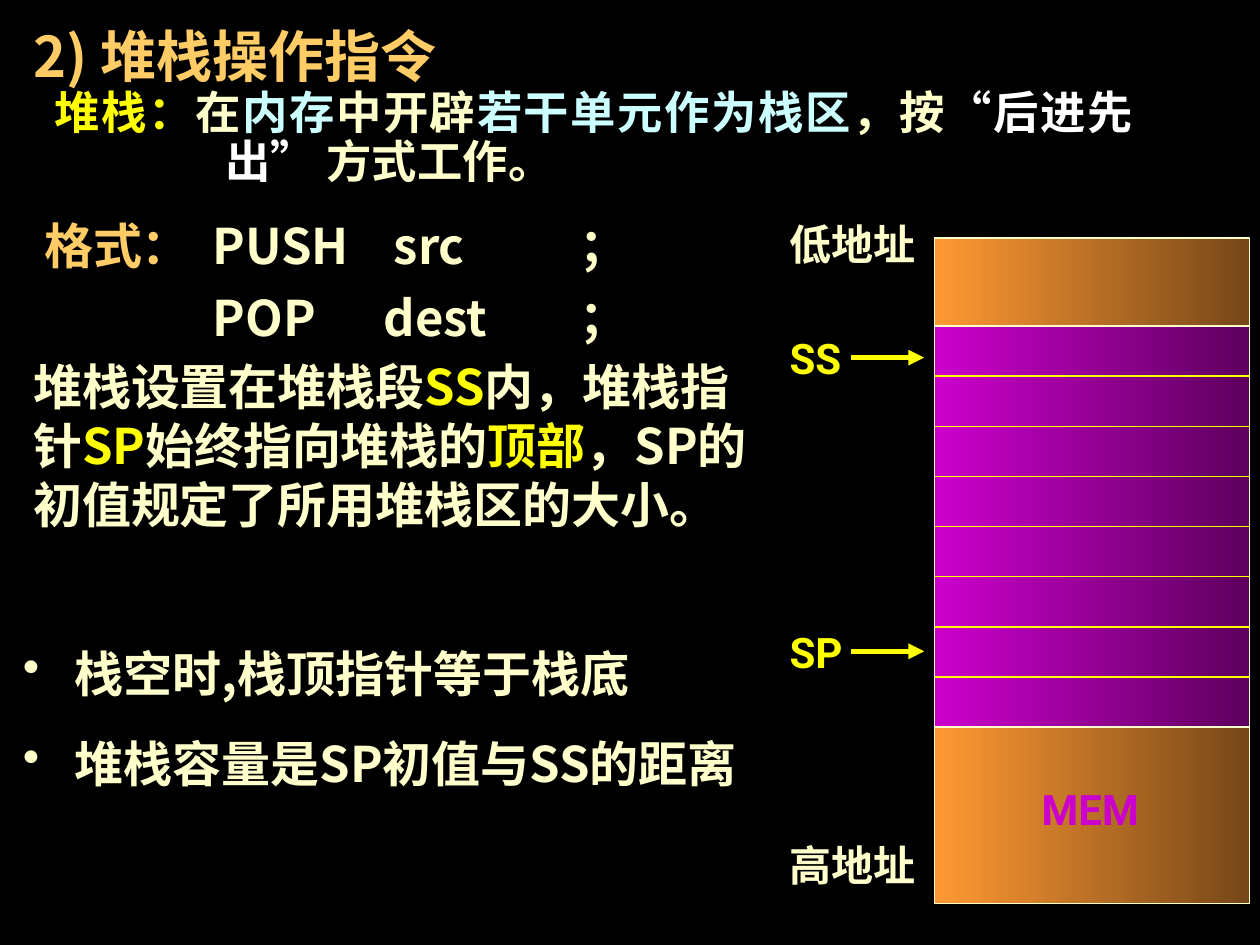
from lxml.etree import SubElement
from pptx import Presentation
from pptx.dml.color import RGBColor
from pptx.enum.shapes import MSO_CONNECTOR as Connector, MSO_SHAPE as Shape
from pptx.enum.text import MSO_ANCHOR as Anchor, MSO_AUTO_SIZE as AutoSize, PP_ALIGN as Align
from pptx.oxml.ns import qn
from pptx.util import Cm, Pt

BLACK = RGBColor(0x00, 0x00, 0x00)
WHITE = RGBColor(0xFF, 0xFF, 0xFF)
CREAM = RGBColor(0xFF, 0xFF, 0xCC)
YELLOW = RGBColor(0xFF, 0xFF, 0x00)
CYAN = RGBColor(0xCC, 0xFF, 0xFF)
GOLD = RGBColor(0xFF, 0xCC, 0x66)
ORANGE = RGBColor(0xFF, 0x99, 0x33)
BROWN = RGBColor(0x76, 0x47, 0x18)
MAGENTA = RGBColor(0xCC, 0x00, 0xCC)
PURPLE = RGBColor(0x5E, 0x00, 0x5E)
SANS, SANS_JP, LABEL = "Noto Sans CJK SC", "Noto Sans CJK JP", "Roboto"

# Content: paragraphs are lists of (text, colour[, font]) runs
TITLE = [("2) 堆栈操作指令", GOLD)]
DEFINITION = [
    ("堆栈：", YELLOW), ("在", CREAM), ("内存", CYAN), ("中开辟", CREAM),
    ("若干单元作为栈区", CYAN), ("，按", CREAM), ("“后进先出” ", WHITE),
    ("方式工作。", CREAM),
]
# Each instruction line carries its own tab stops in cm
FORMATS = [
    ([("格式：", GOLD), ("\tPUSH\tsrc\t；", CREAM, SANS_JP)], (3.4, 7.05, 10.8)),
    ([("\tPOP\tdest\t；", CREAM, SANS_JP)], (3.4, 6.85, 10.8)),
]
EXPLANATION = [
    ("堆栈设置在堆栈段", CREAM), ("SS", YELLOW), ("内，堆栈指针", CREAM),
    ("SP", YELLOW), ("始终指向堆栈的", CREAM), ("顶部", YELLOW),
    ("，SP的初值规定了所用堆栈区的大小。", CREAM),
]
BULLETS = ["栈空时,栈顶指针等于栈底", "堆栈容量是SP初值与SS的距离"]
LABELS = [  # text, colour, left, top
    ("低地址", CREAM, 15.67, 4.29),
    ("高地址", CREAM, 15.67, 16.79),
    ("SS", YELLOW, 15.67, 6.58),
    ("SP", YELLOW, 15.67, 12.51),
    ("MEM", MAGENTA, 20.75, 15.67),
]
POINTER_HEIGHTS = (7.21, 13.13)
MEM_LEFT, MEM_TOP, MEM_WIDTH, MEM_HEIGHT = 18.84, 4.8, 6.35, 13.41
STACK_TOP, STACK_BOTTOM, STACK_CELLS = 6.57, 14.66, 8

prs = Presentation()
prs.slide_width, prs.slide_height = Cm(25.4), Cm(19.05)
slide = prs.slides.add_slide(prs.slide_layouts[5])
slide.background.fill.solid()
slide.background.fill.fore_color.rgb = BLACK


def write(paragraph, runs, size, font=SANS):
    for text, color, *own_font in runs:
        run = paragraph.add_run()
        run.text = text
        run.font.size, run.font.bold = Pt(size), True
        run.font.color.rgb = color
        run.font.name = own_font[0] if own_font else font
        SubElement(run.font._element, qn("a:ea"), typeface=run.font.name)


def add_text(left, top, width, height):
    frame = slide.shapes.add_textbox(Cm(left), Cm(top), Cm(width), Cm(height)).text_frame
    frame.word_wrap = True
    return frame


def set_hanging(paragraph, margin, hang):
    props = paragraph._p.get_or_add_pPr()
    props.set("marL", str(Cm(margin)))
    props.set("indent", str(-Cm(hang)))
    return props


def add_line(x1, y1, x2, y2, color, width):
    line = slide.shapes.add_connector(Connector.STRAIGHT, Cm(x1), Cm(y1), Cm(x2), Cm(y2))
    line.line.color.rgb, line.line.width = color, Pt(width)
    SubElement(line._element.spPr, qn("a:effectLst"))
    return line


def add_block(top, height, start, end):
    block = slide.shapes.add_shape(
        Shape.RECTANGLE, Cm(MEM_LEFT), Cm(top), Cm(MEM_WIDTH), Cm(height))
    block.shadow.inherit = False
    block.fill.gradient()
    block.fill.gradient_angle = 0
    for stop, color, position in zip(block.fill.gradient_stops, (start, end), (0, 1)):
        stop.color.rgb, stop.position = color, position
    block.line.color.rgb, block.line.width = CREAM, Pt(0.75)


# Title
title = slide.shapes.title
title.left, title.top, title.width, title.height = Cm(0.42), Cm(0.21), Cm(10.37), Cm(1.7)
title.text_frame.auto_size = AutoSize.NONE
title.text_frame.word_wrap = True
title.text_frame.vertical_anchor = Anchor.BOTTOM
title.text_frame.paragraphs[0].alignment = Align.LEFT
write(title.text_frame.paragraphs[0], TITLE, 32)

# Definition with hanging indent
definition = add_text(0.85, 1.69, 22.23, 2.54).paragraphs[0]
set_hanging(definition, 3.45, 3.45)
definition.alignment, definition.line_spacing = Align.JUSTIFY, 0.9
write(definition, DEFINITION, 25.9)

# Instruction formats
formats = add_text(0.64, 4.23, 15.66, 3.18)
for i, (runs, stops) in enumerate(FORMATS):
    instruction = formats.add_paragraph() if i else formats.paragraphs[0]
    tabs = SubElement(instruction._p.get_or_add_pPr(), qn("a:tabLst"))
    for stop in stops:
        SubElement(tabs, qn("a:tab"), pos=str(Cm(stop)), algn="l")
    if i:
        instruction.space_before = Pt(7)
    write(instruction, runs, 28)

# Explanation
write(add_text(0.42, 7.06, 15.03, 5).paragraphs[0], EXPLANATION, 28)

# Bullets
notes = add_text(0.21, 12.85, 15.03, 4.45)
for i, text in enumerate(BULLETS):
    note = notes.add_paragraph() if i else notes.paragraphs[0]
    props = set_hanging(note, 1.05, 1.05)
    SubElement(SubElement(props, qn("a:buClr")), qn("a:srgbClr"), val=str(CREAM))
    SubElement(props, qn("a:buChar"), char="•")
    if i:
        note.space_before = Pt(17.5)
    write(note, [(text, CREAM)], 28)

# Memory with the stack segment divided into equal cells
add_block(MEM_TOP, MEM_HEIGHT, ORANGE, BROWN)
add_block(STACK_TOP, STACK_BOTTOM - STACK_TOP, MAGENTA, PURPLE)
cell_height = (STACK_BOTTOM - STACK_TOP) / STACK_CELLS
for i in range(STACK_CELLS + 1):
    y = STACK_TOP + i * cell_height
    color = CREAM if i in (0, STACK_CELLS) else YELLOW
    add_line(MEM_LEFT, y, MEM_LEFT + MEM_WIDTH, y, color, 0.75)

# Labels and pointer arrows
for text, color, left, top in LABELS:
    write(add_text(left, top, 3.18, 1.27).paragraphs[0], [(text, color)], 24, LABEL)
for y in POINTER_HEIGHTS:
    arrow = add_line(17.15, y, 18.63, y, YELLOW, 3)
    SubElement(arrow.line._get_or_add_ln(), qn("a:tailEnd"), type="triangle")

prs.save("out.pptx")
